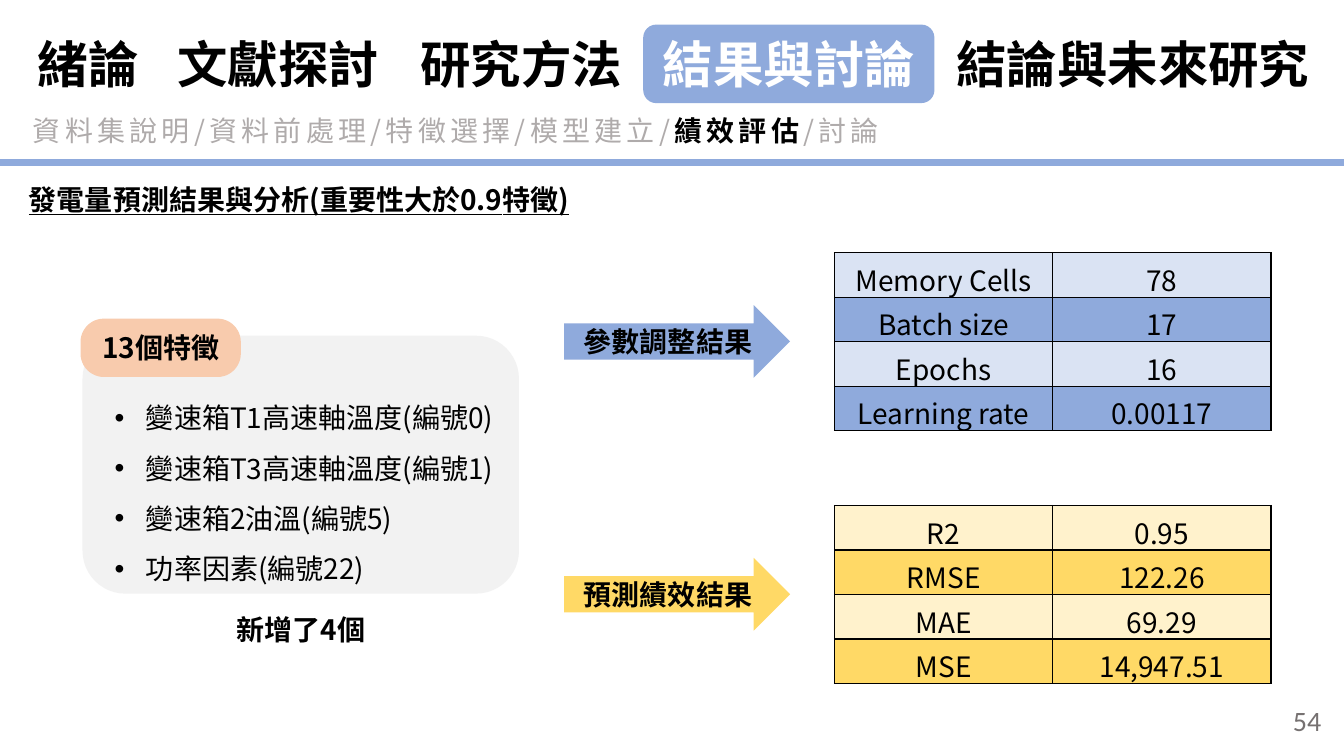
import pptx
import pptx.dml.color
import pptx.enum.shapes
import pptx.enum.text
import pptx.oxml
import pptx.oxml.ns
import pptx.util

Cm = pptx.util.Cm
SHAPE = pptx.enum.shapes.MSO_SHAPE
ALIGN = pptx.enum.text.PP_ALIGN
ANCHOR = pptx.enum.text.MSO_ANCHOR
FONT = "Noto Sans CJK SC"
COLORS = {
    "black": "000000", "white": "FFFFFF", "blue": "8FAADC", "pale_blue": "DAE3F3",
    "gold": "FFD966", "pale_gold": "FFF2CC", "panel": "F2F2F2", "peach": "F8CBAD",
    "muted": "AFABAB", "page": "767171",
}

CHAPTERS = [
    ("緒論", 0.48, 3.48),
    ("文獻探討", 3.96, 6.1),
    ("研究方法", 10.11, 6.05),
    ("結果與討論", 16.21, 7.34),
    ("結論與未來研究", 23.52, 10.06),
]
CURRENT_CHAPTER = "結果與討論"
SECTIONS = ["資料集說明", "資料前處理", "特徵選擇", "模型建立", "績效評估", "討論"]
CURRENT_SECTION = "績效評估"
HEADING = "發電量預測結果與分析(重要性大於0.9特徵)"
FEATURE_COUNT = "13個特徵"
FEATURES = ["變速箱T1高速軸溫度(編號0)", "變速箱T3高速軸溫度(編號1)",
            "變速箱2油溫(編號5)", "功率因素(編號22)"]
FEATURE_NOTE = "新增了4個"
RESULTS = [
    ("參數調整結果", "blue", "pale_blue",
     [("Memory Cells", "78"), ("Batch size", "17"), ("Epochs", "16"), ("Learning rate", "0.00117")]),
    ("預測績效結果", "gold", "pale_gold",
     [("R2", "0.95"), ("RMSE", "122.26"), ("MAE", "69.29"), ("MSE", "14,947.51")]),
]
PAGE = "54"
TABLE_LEFT, TABLE_TOP, TABLE_STEP = 21.03, 6.37, 6.37
COL_WIDTH, ROW_HEIGHT = 5.5, 1.12


def rgb(name):
    return pptx.dml.color.RGBColor.from_string(COLORS[name])


def add_xml(parent, xml):
    parent.append(pptx.oxml.parse_xml(xml.replace(">", f" {pptx.oxml.ns.nsdecls('a')}>", 1)))


def style_run(r, size=20, color="black", bold=False, font=FONT):
    r.font.size = pptx.util.Pt(size)
    r.font.bold = bold
    r.font.name = font
    r.font.color.rgb = rgb(color)
    add_xml(r.font._element, f'<a:ea typeface="{font}"></a:ea>')


def write(tf, text, align=ALIGN.LEFT, anchor=ANCHOR.TOP, grow=False, **style):
    tf.text = text
    tf.word_wrap = True
    tf.vertical_anchor = anchor
    if grow:
        tf.auto_size = pptx.enum.text.MSO_AUTO_SIZE.SHAPE_TO_FIT_TEXT
    for p in tf.paragraphs:
        p.alignment = align
        for r in p.runs:
            style_run(r, **style)


def add_text(box, text, **style):
    tf = s.shapes.add_textbox(*map(Cm, box)).text_frame
    write(tf, text, **style)
    return tf


def add_block(kind, box, fill=None):
    sp = s.shapes.add_shape(kind, *map(Cm, box))
    sp.shadow.inherit = False
    sp.line.fill.background()
    if fill:
        sp.fill.solid()
        sp.fill.fore_color.rgb = rgb(fill)
    else:
        sp.fill.background()
    return sp


def add_result_table(top, rows, dark, pale):
    table = s.shapes.add_table(len(rows), 2, Cm(TABLE_LEFT), Cm(top),
                               Cm(2 * COL_WIDTH), Cm(len(rows) * ROW_HEIGHT)).table
    for column in table.columns:
        column.width = Cm(COL_WIDTH)
    for i, row in enumerate(rows):
        for j, value in enumerate(row):
            cell = table.cell(i, j)
            cell.margin_left = cell.margin_right = Cm(0.18)
            cell.margin_top = cell.margin_bottom = 0
            cell.vertical_anchor = ANCHOR.MIDDLE
            cell.text = value
            p = cell.text_frame.paragraphs[0]
            p.alignment = ALIGN.CENTER
            p.line_spacing = 1.15
            style_run(p.runs[0])
            tc_pr = cell._tc.get_or_add_tcPr()
            for side in ("lnL", "lnR", "lnT", "lnB"):
                add_xml(tc_pr, f'<a:{side} w="12700"><a:solidFill><a:srgbClr val="{COLORS["black"]}"/>'
                               f'</a:solidFill></a:{side}>')
            cell.fill.solid()
            cell.fill.fore_color.rgb = rgb(dark if i % 2 else pale)


prs = pptx.Presentation()
prs.slide_width, prs.slide_height = Cm(33.87), Cm(19.05)
s = prs.slides.add_slide(prs.slide_layouts[6])

rule = s.shapes.add_connector(pptx.enum.shapes.MSO_CONNECTOR.STRAIGHT, 0, Cm(4.09), prs.slide_width, Cm(4.09))
rule.line.color.rgb = rgb("blue")
rule.line.width = pptx.util.Pt(5)
add_xml(rule._element.spPr, "<a:effectLst></a:effectLst>")

add_text((25.93, 17.65, 7.62, 1.02), PAGE, align=ALIGN.RIGHT, anchor=ANCHOR.MIDDLE,
         color="page", font="Calibri")

before, after = "/".join(SECTIONS).split(CURRENT_SECTION)
p = add_text((0.58, 2.74, 32.97, 1.12), "", grow=True).paragraphs[0]
for part in (before, CURRENT_SECTION, after):
    r = p.add_run()
    r.text = part
    current = part == CURRENT_SECTION
    style_run(r, color="black" if current else "muted", bold=current)
    r.font._element.set("spc", "300")

for name, left, width in CHAPTERS:
    current = name == CURRENT_CHAPTER
    sp = add_block(SHAPE.ROUNDED_RECTANGLE, (left, 0.62, width, 1.98), "blue" if current else None)
    write(sp.text_frame, name, align=ALIGN.CENTER, grow=True, size=36, bold=True,
          color="white" if current else "black")

tf = add_text((0.48, 4.47, 16.97, 1.12), HEADING, grow=True, bold=True)
tf.paragraphs[0].runs[0].font.underline = True

for i, (label, dark, pale, rows) in enumerate(RESULTS):
    top = TABLE_TOP + i * TABLE_STEP
    add_result_table(top, rows, dark, pale)
    sp = add_block(SHAPE.RIGHT_ARROW, (14.22, top + 1.32, 5.69, 1.83), dark)
    write(sp.text_frame, label, align=ALIGN.CENTER, anchor=ANCHOR.MIDDLE, bold=True)

add_block(SHAPE.ROUNDED_RECTANGLE, (2.08, 8.46, 11, 6.5), "panel")
tf = add_text((2.64, 9.55, 11, 5.23), "\n".join(FEATURES), grow=True)
for p in tf.paragraphs:
    p.line_spacing = 1.5
    p_pr = p._p.get_or_add_pPr()
    p_pr.set("marL", str(Cm(0.79)))
    p_pr.set("indent", str(-Cm(0.79)))
    add_xml(p_pr, '<a:buFont typeface="Arial"></a:buFont>')
    add_xml(p_pr, '<a:buChar char="•"></a:buChar>')

tag = add_block(SHAPE.ROUNDED_RECTANGLE, (2.03, 8.03, 4.04, 1.47), "peach")
tag.adjustments[0] = 0.4
write(tag.text_frame, FEATURE_COUNT, align=ALIGN.CENTER, anchor=ANCHOR.MIDDLE, bold=True)
add_text((5.03, 15.32, 5.11, 1.12), FEATURE_NOTE, align=ALIGN.CENTER, grow=True, bold=True)

prs.save("out.pptx")
